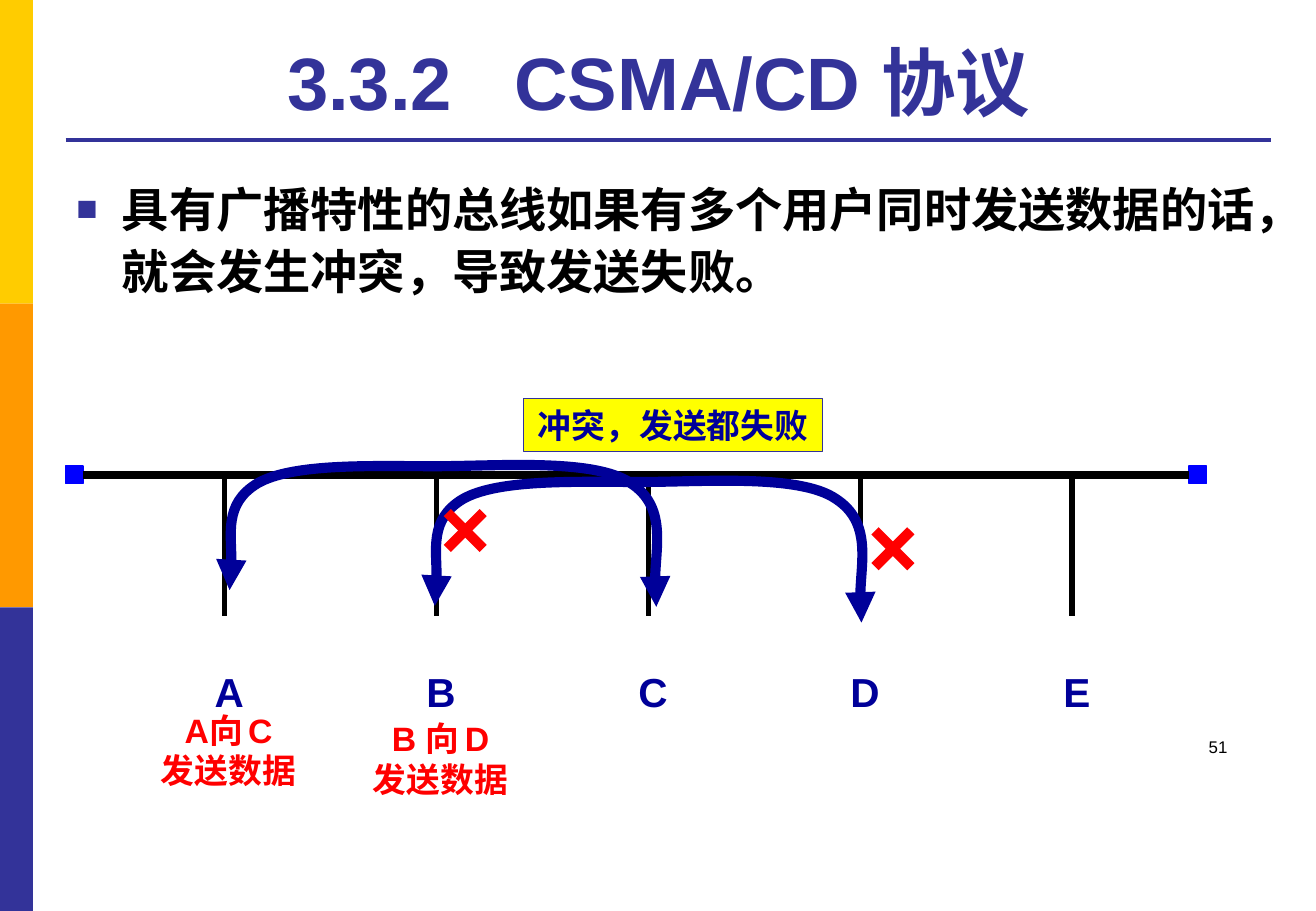
from collections import namedtuple
from dataclasses import dataclass

from lxml import etree
from pptx import Presentation
from pptx.dml.color import RGBColor
from pptx.enum.shapes import MSO_CONNECTOR, MSO_SHAPE
from pptx.enum.text import MSO_ANCHOR, MSO_AUTO_SIZE, PP_ALIGN
from pptx.oxml.ns import qn
from pptx.util import Cm, Pt

STRAIGHT = MSO_CONNECTOR.STRAIGHT
RECT = MSO_SHAPE.RECTANGLE
LEFT, CENTER, RIGHT = PP_ALIGN.LEFT, PP_ALIGN.CENTER, PP_ALIGN.RIGHT
TOP, MIDDLE, BOTTOM = MSO_ANCHOR.TOP, MSO_ANCHOR.MIDDLE, MSO_ANCHOR.BOTTOM
SIDE_LEFT, SIDE_RIGHT = 1, 3

Box = namedtuple("Box", "x y w h")


@dataclass(frozen=True)
class Theme:
    font: str = "Arial"
    yellow: str = "FFCC00"
    orange: str = "FF9900"
    indigo: str = "333399"
    navy: str = "000099"
    blue: str = "0000FF"
    red: str = "FF0000"
    notice: str = "FFFF00"
    black: str = "000000"
    title: int = 44
    body: int = 28
    station: int = 24
    note: int = 20
    gap: int = 14
    number: int = 10


THEME = Theme()


def rgb(value):
    return RGBColor.from_string(value)


def style_run(run, size, color, bold=True):
    look = {"name": THEME.font, "size": Pt(size), "bold": bold}
    for key, value in look.items():
        setattr(run.font, key, value)
    run.font.color.rgb = rgb(color)


def set_frame(frame, anchor, wrap):
    look = {"word_wrap": wrap, "auto_size": MSO_AUTO_SIZE.NONE, "vertical_anchor": anchor}
    for key, value in look.items():
        setattr(frame, key, value)


def add_text(slide, box, lines, size, color, align=CENTER, bold=True, wrap=False):
    """Write each line as a paragraph; a line is a list of (text, size or None)."""
    frame = slide.shapes.add_textbox(*map(Cm, box)).text_frame
    set_frame(frame, TOP, wrap)
    for index, pieces in enumerate(lines):
        paragraph = frame.add_paragraph() if index else frame.paragraphs[0]
        paragraph.alignment = align
        for text, own_size in pieces:
            run = paragraph.add_run()
            run.text = text
            style_run(run, own_size or size, color, bold)
    return frame


def add_rect(slide, box, fill, outline=None, width=1):
    rect = slide.shapes.add_shape(RECT, *map(Cm, box))
    rect.shadow.inherit = False
    rect.fill.solid()
    rect.fill.fore_color.rgb = rgb(fill)
    if outline:
        rect.line.color.rgb = rgb(outline)
        rect.line.width = Pt(width)
    else:
        rect.line.fill.background()
    return rect


def add_line(slide, x1, y1, x2, y2, color, width):
    line = slide.shapes.add_connector(STRAIGHT, *map(Cm, (x1, y1, x2, y2)))
    line.line.color.rgb = rgb(color)
    line.line.width = Pt(width)
    etree.SubElement(line._element.spPr, qn("a:effectLst"))
    return line


def side_strip(slide, box):
    colors = (THEME.yellow, THEME.orange, THEME.indigo)
    part = box.h / len(colors)
    for index, color in enumerate(colors):
        add_rect(slide, Box(box.x, box.y + index * part, box.w, part), color)


def heading(slide, box):
    """Title with a rule below; the gaps between words are widened by letter spacing."""
    title = slide.shapes.title
    title.left, title.top, title.width, title.height = map(Cm, (box.x - 0.2, box.y, box.w, box.h))
    set_frame(title.text_frame, BOTTOM, True)
    paragraph = title.text_frame.paragraphs[0]
    paragraph.alignment = CENTER
    for text, spacing in (("3.3.2", 0), (" ", 2440), ("CSMA/CD 协议", 0)):
        run = paragraph.add_run()
        run.text = text
        style_run(run, THEME.title, THEME.indigo)
        if spacing:
            run.font._element.set("spc", str(spacing))
    rule = box.y + box.h + 0.18
    add_line(slide, box.x, rule, box.x + box.w, rule, THEME.indigo, 2.25)


def statement(slide, box):
    text = "具有广播特性的总线如果有多个用户同时发送数据的话，就会发生冲突，导致发送失败。"
    frame = add_text(slide, box, [[(text, None)]], THEME.body, THEME.black, LEFT, wrap=True)
    paragraph = frame.paragraphs[0]
    paragraph.line_spacing = 1.1
    props = paragraph._p.get_or_add_pPr()
    props.set("marL", str(Cm(0.95)))
    props.set("indent", str(-Cm(0.95)))
    color = etree.SubElement(props, qn("a:buClr"))
    etree.SubElement(color, qn("a:srgbClr"), val=THEME.indigo)
    etree.SubElement(props, qn("a:buSzPct"), val="75000")
    etree.SubElement(props, qn("a:buFont"), typeface=THEME.font)
    etree.SubElement(props, qn("a:buChar"), char="■")


def signal_arc(slide, x, y):
    """Curve over the bus from (x, y), with an arrowhead at both ends."""
    bends = [(0.1, -0.37), (-0.13, -1.8), (0.58, -2.23),
             (1.32, -2.66), (3, -2.59), (4.29, -2.59),
             (5.61, -2.59), (7.62, -2.76), (8.38, -2.24),
             (9.14, -1.75), (8.81, -0.2), (8.92, 0.35)]
    builder = slide.shapes.build_freeform(Cm(x), Cm(y))
    builder.add_line_segments([(Cm(x + dx), Cm(y + dy)) for dx, dy in bends], close=False)
    arc = builder.convert_to_shape()
    arc.shadow.inherit = False
    arc.fill.background()
    arc.line.color.rgb = rgb(THEME.navy)
    arc.line.width = Pt(6)
    for end in ("a:headEnd", "a:tailEnd"):
        etree.SubElement(arc.line._get_or_add_ln(), qn(end), type="triangle")
    # Each three line points become one cubic curve.
    steps = list(arc._element.iter(qn("a:lnTo")))
    for first in range(0, len(steps), 3):
        curve = etree.Element(qn("a:cubicBezTo"))
        steps[first].addprevious(curve)
        for step in steps[first:first + 3]:
            curve.append(step[0])
            step.getparent().remove(step)


def bus_diagram(slide, box):
    """Bus with five stations; the top of the box is the middle of the bus."""
    end = 0.36
    left, right = (add_rect(slide, Box(x, box.y - end / 2, end, end), THEME.blue, THEME.blue)
                   for x in (box.x, box.x + box.w - end))
    bus = add_line(slide, box.x, box.y, box.x + box.w, box.y, THEME.black, 4.5)
    bus.begin_connect(left, SIDE_RIGHT)
    bus.end_connect(right, SIDE_LEFT)

    first, pitch = box.x + 3.32, 4.43
    for index, station in enumerate("ABCDE"):
        x = first + index * pitch
        add_line(slide, x, box.y + 0.05, x, box.y + 2.95, THEME.black, 3)
        add_text(slide, Box(x - 0.9, box.y + 3.89, 2, 1.27), [[(station, None)]],
                 THEME.station, THEME.navy)

    senders = (("A向", "C", 4.78), ("B 向", "D", 4.96))
    for index, (sender, receiver, drop) in enumerate(senders):
        x = first + index * pitch
        lines = [[(sender, None), (" ", THEME.gap), (receiver, None)], [("发送数据", None)]]
        add_text(slide, Box(x - 1.6, box.y + drop, 3.38, 1.96), lines, THEME.note, THEME.red)

    signal_arc(slide, box.x + 7.72, box.y + 2.74)
    for dx, dy in ((16.92, 1.17), (7.98, 0.79)):
        x, y, size = box.x + dx, box.y + dy, 0.75
        add_line(slide, x, y, x + size, y + size, THEME.red, 6)
        add_line(slide, x + size, y, x, y + size, THEME.red, 6)

    notice = add_rect(slide, Box(box.x + 9.58, box.y - 1.6, 6.25, 1.12),
                      THEME.notice, THEME.indigo, 0.75)
    set_frame(notice.text_frame, MIDDLE, False)
    paragraph = notice.text_frame.paragraphs[0]
    paragraph.alignment = CENTER
    run = paragraph.add_run()
    run.text = "冲突，发送都失败"
    style_run(run, THEME.note, THEME.navy)
    signal_arc(slide, box.x + 3.43, box.y + 2.41)


def page_number(slide, box):
    add_text(slide, box, [[("51", None)]], THEME.number, THEME.black, RIGHT, bold=False, wrap=True)


def main():
    prs = Presentation()
    prs.slide_width, prs.slide_height = Cm(27.51), Cm(19.05)
    slide = prs.slides.add_slide(prs.slide_layouts[5])
    side_strip(slide, Box(0, 0, 0.69, 19.05))
    heading(slide, Box(1.37, 0.53, 25.2, 2.21))
    statement(slide, Box(1.35, 3.53, 25.2, 3.2))
    bus_diagram(slide, Box(1.37, 9.93, 23.85, 6.9))
    page_number(slide, Box(19.48, 15.27, 6.43, 1.27))
    prs.save("out.pptx")


if __name__ == "__main__":
    main()
